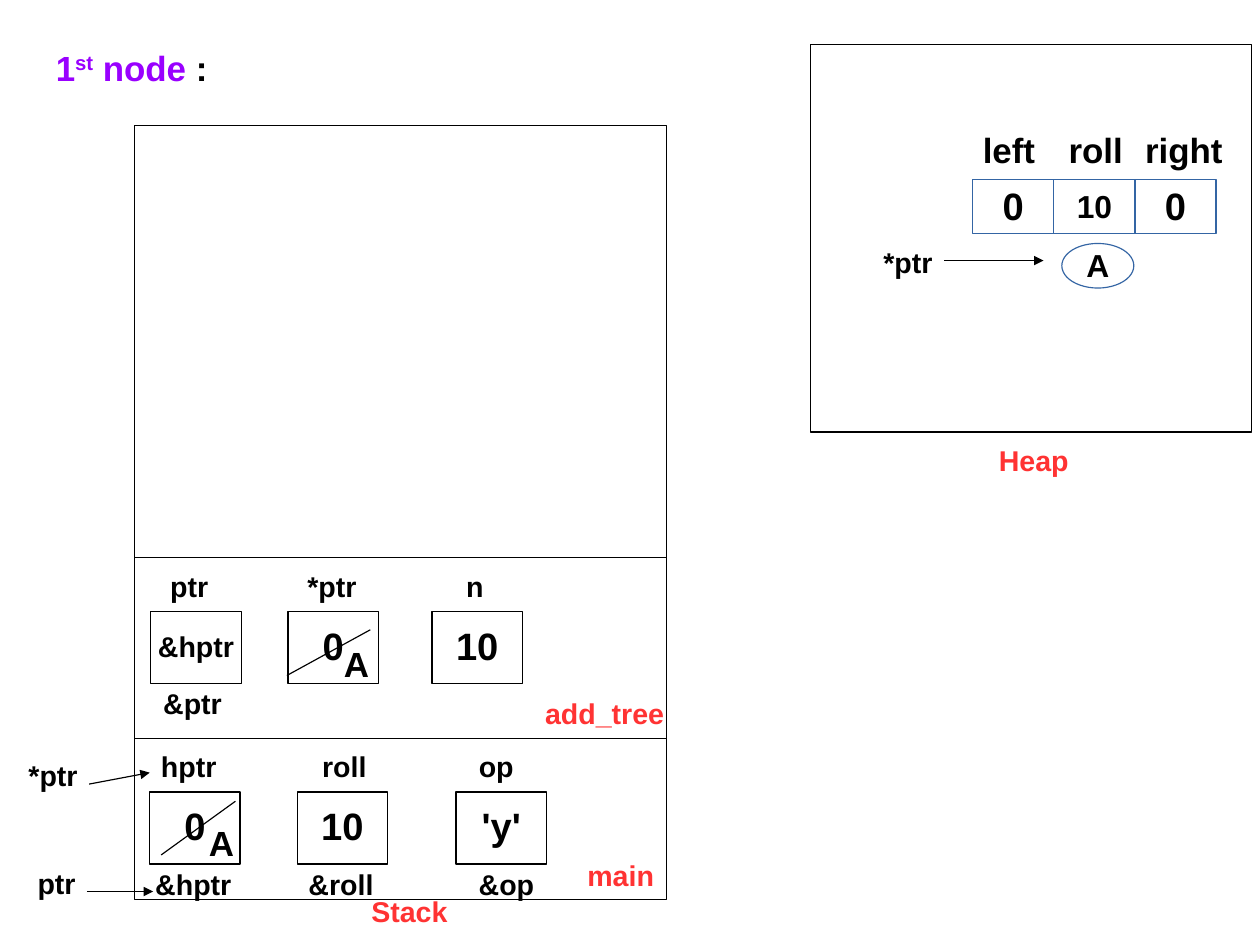
from lxml import etree
from pptx import Presentation
from pptx.dml.color import RGBColor
from pptx.enum.shapes import MSO_CONNECTOR, MSO_SHAPE
from pptx.enum.text import MSO_ANCHOR, PP_ALIGN
from pptx.oxml.ns import qn
from pptx.util import Inches, Pt

RECTANGLE, OVAL = MSO_SHAPE.RECTANGLE, MSO_SHAPE.OVAL
STRAIGHT = MSO_CONNECTOR.STRAIGHT
MIDDLE, CENTER = MSO_ANCHOR.MIDDLE, PP_ALIGN.CENTER
BLACK, WHITE, RED, BLUE, PURPLE = "000000", "FFFFFF", "FF3333", "3465A4", "9900FF"
color = RGBColor.from_string

# The page measures 28 by 21 centimetres
deck = Presentation()
deck.slide_width, deck.slide_height = Inches(28 / 2.54), Inches(21 / 2.54)
page = deck.slides.add_slide(deck.slide_layouts[6])


def write(shape, spans, size):
    """Fill a shape with one bold line made of (text, colour) spans."""
    shape.text_frame.word_wrap = False
    para = shape.text_frame.paragraphs[0]
    para.line_spacing = 0.94
    for text, hex_color in spans:
        span = para.add_run()
        span.text = text
        span.font.name = "Arial"
        span.font.size = Pt(size)
        span.font.bold = True
        span.font.color.rgb = color(hex_color)
    return para


def add_box(kind, left, top, width, height, line=BLACK, text="", size=24, inset=0.05):
    box = page.shapes.add_shape(kind, Inches(left), Inches(top), Inches(width), Inches(height))
    box.shadow.inherit = False
    box.fill.solid()
    box.fill.fore_color.rgb = color(WHITE)
    box.line.color.rgb = color(line)
    box.line.width = Pt(0.75)
    if text:
        write(box, [(text, BLACK)], size).alignment = CENTER
        box.text_frame.vertical_anchor = MIDDLE
        box.text_frame.margin_top = Inches(inset)


# Stack and heap areas
stack_left, stack_width = 1.18, 4.65
stack_right = stack_left + stack_width
add_box(RECTANGLE, stack_left, 1.1, stack_width, 6.77)
add_box(RECTANGLE, 7.09, 0.39, 3.86, 3.39)

# Variables of each stack frame: cell left, value, value size
cell_width, cell_height = 0.79, 0.63
add_tree_top, main_top = 5.35, 6.93
frames = [
    (add_tree_top, [(1.32, "&hptr", 18), (2.52, "0", 24), (3.78, "10", 24)]),
    (main_top, [(1.31, "0", 24), (2.6, "10", 24), (3.99, "'y'", 24)]),
]
for top, cells in frames:
    for left, value, size in cells:
        add_box(RECTANGLE, left, top, cell_width, cell_height, BLACK, value, size)

# Tree node on the heap
node_left, field_width = 8.51, 0.71
for index, (value, size) in enumerate([("0", 24), ("10", 20), ("0", 24)]):
    add_box(RECTANGLE, node_left + index * field_width, 1.57, field_width, 0.47,
            BLUE, value, size, 0.07)
add_box(OVAL, 9.29, 2.13, 0.63, 0.39, BLUE, "A", 20, 0.07)

# Separators, strokes through old values, and pointer arrows
lines = [
    (stack_left, 4.88, stack_right, 4.88, False),
    (stack_left, 6.46, stack_right, 6.46, False),
    (2.06, 7.01, 1.41, 7.48, False),
    (3.24, 5.51, 2.51, 5.91, False),
    (0.76, 7.8, 1.34, 7.8, True),
    (0.78, 6.86, 1.31, 6.76, True),
    (8.26, 2.28, 9.13, 2.28, True),
]
for start_x, start_y, end_x, end_y, has_arrow in lines:
    line = page.shapes.add_connector(
        STRAIGHT, Inches(start_x), Inches(start_y), Inches(end_x), Inches(end_y))
    line.line.color.rgb = color(BLACK)
    line.line.width = Pt(0.75)
    if has_arrow:
        etree.SubElement(line.line._get_or_add_ln(), qn("a:tailEnd"), type="triangle")
    etree.SubElement(line._element.spPr, qn("a:effectLst"))

# Labels: left, top, width, text, size, colour
above, below = -0.4, cell_height
labels = [
    (1.39, add_tree_top + above, 0.58, "ptr", 18, BLACK),
    (2.59, add_tree_top + above, 0.68, "*ptr", 18, BLACK),
    (3.98, add_tree_top + above, 0.4, "n", 18, BLACK),
    (1.33, add_tree_top + below, 0.77, "&ptr", 18, BLACK),
    (1.31, main_top + above, 0.73, "hptr", 18, BLACK),
    (2.72, main_top + above, 0.64, "roll", 18, BLACK),
    (4.09, main_top + above, 0.55, "op", 18, BLACK),
    (1.26, main_top + below, 0.91, "&hptr", 18, BLACK),
    (2.6, main_top + below, 0.82, "&roll", 18, BLACK),
    (4.09, main_top + below, 0.73, "&op", 18, BLACK),
    (0.15, 6.61, 0.68, "*ptr", 18, BLACK),
    (0.23, 7.55, 0.58, "ptr", 18, BLACK),
    (7.63, 2.12, 0.68, "*ptr", 18, BLACK),
    (2.91, 5.6, 0.47, "A", 22, BLACK),
    (1.73, 7.17, 0.47, "A", 22, BLACK),
    (8.5, 1.11, 0.71, "left", 22, BLACK),
    (9.25, 1.11, 0.72, "roll", 22, BLACK),
    (9.92, 1.11, 0.93, "right", 22, BLACK),
    (4.67, 6.06, 1.29, "add_tree", 18, RED),
    (5.04, 7.48, 0.83, "main", 18, RED),
    (3.15, 7.8, 0.91, "Stack", 18, RED),
    (8.64, 3.85, 0.86, "Heap", 18, RED),
]
for left, top, width, text, size, hex_color in labels:
    label = page.shapes.add_textbox(Inches(left), Inches(top), Inches(width), Inches(0.4))
    write(label, [(text, hex_color)], size)

# Title
title = page.shapes.add_textbox(Inches(0.39), Inches(0.39), Inches(1.66), Inches(0.47))
title_para = write(title, [("1", PURPLE), ("st", PURPLE), (" node ", PURPLE), (":", BLACK)], 22)
title_para.runs[1].font._element.set("baseline", "33000")

deck.save("out.pptx")
